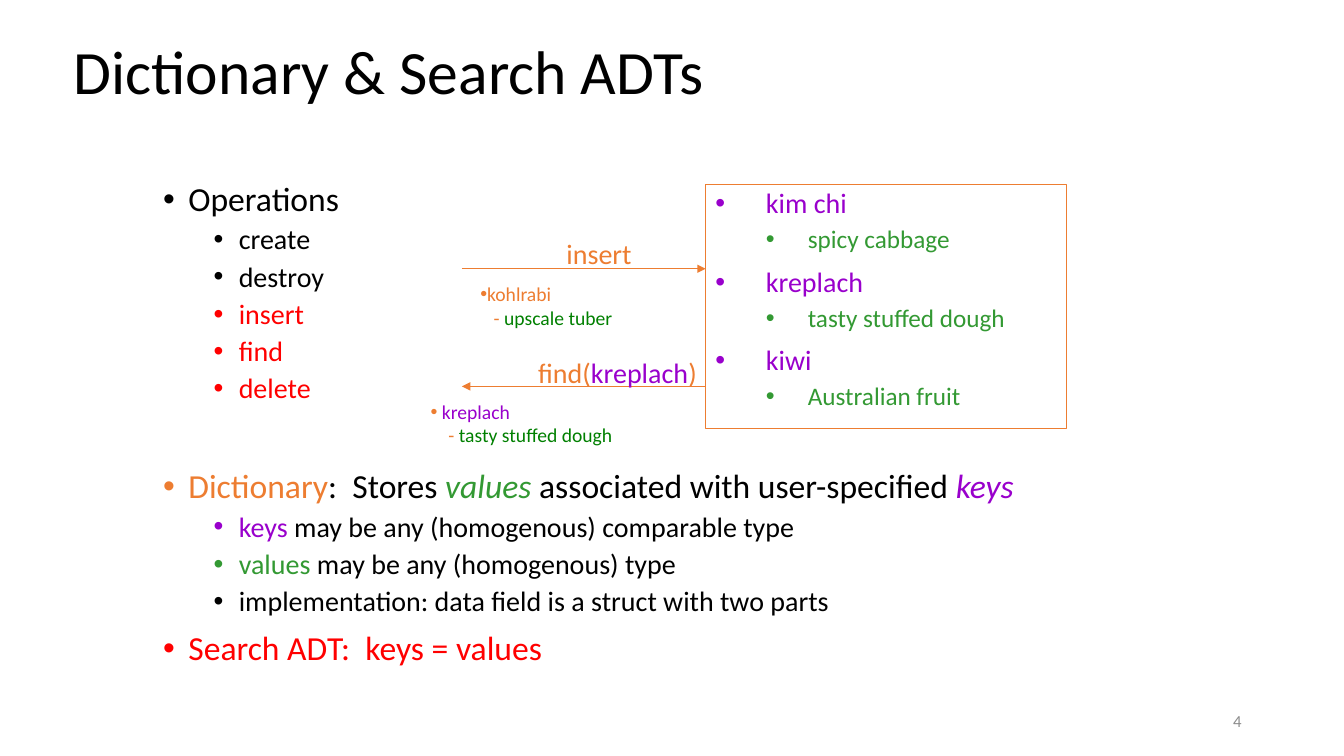
from collections import namedtuple
from dataclasses import dataclass

from lxml.etree import SubElement
from pptx import Presentation
from pptx.dml.color import RGBColor
from pptx.enum.shapes import MSO_CONNECTOR, MSO_SHAPE
from pptx.enum.text import MSO_ANCHOR, PP_ALIGN
from pptx.oxml.ns import qn
from pptx.util import Pt


@dataclass(frozen=True)
class Theme:
    """Colours, font and type sizes of the slide."""
    font: str = "Calibri"
    ink: str = "000000"
    muted: str = "8C8C8C"
    accent: str = "ED7D31"
    key: str = "9900CC"
    value: str = "339933"
    stored: str = "008000"
    alert: str = "FF0000"
    title: int = 44
    heading: int = 24
    item: int = 20
    detail: int = 18
    reply: int = 14
    number: int = 12


THEME = Theme()
Box = namedtuple("Box", "left top width height")
Run = namedtuple("Run", "text color italic", defaults=(THEME.ink, False))
Style = namedtuple("Style", "size margin hang before spacing bullet align",
                   defaults=(0, 0, 0, 1, False, PP_ALIGN.LEFT))

HEADING = Style(THEME.heading, 18, 18, 10, 0.9, True)
SECTION = HEADING._replace(before=46.4)
ITEM = Style(THEME.item, 54, 18, 5, 0.9, True)
KEY = Style(THEME.item, 36, 36, 10, 0.9, True)
VALUE = Style(THEME.detail, 66, 30, 5, 0.9, True)
REPLY = Style(THEME.reply, bullet=True)


def write(frame, paragraphs, anchor=MSO_ANCHOR.TOP, wrap=True):
    """Fill a text frame with pairs of style and runs."""
    frame.word_wrap = wrap
    frame.vertical_anchor = anchor
    for index, (style, runs) in enumerate(paragraphs):
        paragraph = frame.add_paragraph() if index else frame.paragraphs[0]
        paragraph.alignment = style.align
        paragraph.line_spacing = style.spacing
        paragraph.space_before = Pt(style.before)
        properties = paragraph._p.get_or_add_pPr()
        properties.set("marL", str(Pt(style.margin)))
        properties.set("indent", str(-Pt(style.hang)))
        if style.bullet:
            SubElement(properties, qn("a:buFont")).set("typeface", "Arial")
            SubElement(properties, qn("a:buChar")).set("char", "•")
        for text, color, italic in runs:
            run = paragraph.add_run()
            run.text = text
            run.font.name = THEME.font
            run.font.size = Pt(style.size)
            run.font.italic = italic
            run.font.color.rgb = RGBColor.from_string(color)


def add_text(slide, box, paragraphs, **layout):
    """Place a text box."""
    label = slide.shapes.add_textbox(*map(Pt, box))
    write(label.text_frame, paragraphs, **layout)


def add_title(slide, box):
    """Place the slide title."""
    style = Style(THEME.title, spacing=0.9)
    add_text(slide, box, [(style, [Run("Dictionary & Search ADTs")])],
             anchor=MSO_ANCHOR.MIDDLE)


def add_outline(slide, box):
    """Place the outline of operations and definitions."""
    operations = [(name, THEME.ink) for name in ("create", "destroy")]
    operations += [(name, THEME.alert) for name in ("insert", "find", "delete")]
    add_text(slide, box, [
        (HEADING, [Run("Operations")]),
        *((ITEM, [Run(*operation)]) for operation in operations),
        (SECTION, [Run("Dictionary", THEME.accent), Run(":  Stores "),
                   Run("values", THEME.value, True),
                   Run(" associated with user-specified "),
                   Run("keys", THEME.key, True)]),
        (ITEM, [Run("keys", THEME.key),
                Run(" may be any (homogenous) comparable type")]),
        (ITEM, [Run("values", THEME.value),
                Run(" may be any (homogenous) type")]),
        (ITEM, [Run("implementation: data field is a struct with two parts")]),
        (HEADING, [Run("Search ADT:  keys = values", THEME.alert)]),
    ])


def add_store(slide, box):
    """Place the framed dictionary with its keys and values."""
    store = slide.shapes.add_shape(MSO_SHAPE.RECTANGLE, *map(Pt, box))
    store.shadow.inherit = False
    store.fill.background()
    store.line.color.rgb = RGBColor.from_string(THEME.accent)
    store.line.width = Pt(1)
    entries = {"kim chi": "spicy cabbage", "kreplach": "tasty stuffed dough",
               "kiwi": "Australian fruit"}
    paragraphs = []
    for key, value in entries.items():
        paragraphs += [(KEY, [Run(key, THEME.key)]),
                       (VALUE, [Run(value, THEME.value)])]
    write(store.text_frame, paragraphs)


def add_arrow(slide, start, end, level):
    """Draw a level arrow from start to end."""
    arrow = slide.shapes.add_connector(
        MSO_CONNECTOR.STRAIGHT, Pt(start), Pt(level), Pt(end), Pt(level))
    arrow.line.color.rgb = RGBColor.from_string(THEME.accent)
    arrow.line.width = Pt(0.75)
    SubElement(arrow.line._get_or_add_ln(), qn("a:tailEnd")).set("type", "triangle")
    SubElement(arrow._element.spPr, qn("a:effectLst"))


def add_insert(slide, box):
    """Place the insert call, its arrow and the entry sent."""
    level = box.top + 26.4
    add_arrow(slide, box.left, box.left + box.width, level)
    add_text(slide, Box(box.left + 67.5, box.top, 62, 31.5),
             [(Style(THEME.item), [Run("insert", THEME.accent)])], wrap=False)
    add_text(slide, Box(box.left + 6, level + 6, 168, 41), [
        (REPLY, [Run("kohlrabi", THEME.accent)]),
        (Style(THEME.reply, 9.5), [Run("- ", THEME.accent),
                                   Run("upscale tuber", THEME.stored)])])


def add_find(slide, box):
    """Place the find call, its arrow and the entry returned."""
    level = box.top + 25.5
    add_arrow(slide, box.left + box.width, box.left, level)
    add_text(slide, Box(box.left + 47.3, box.top, 129, 31), [
        (Style(THEME.item), [Run("find(", THEME.accent),
                             Run("kreplach", THEME.key),
                             Run(")", THEME.accent)])], wrap=False)
    add_text(slide, Box(box.left - 29.5, level + 6, 145.5, 58), [
        (REPLY, [Run(" ", THEME.accent), Run("kreplach", THEME.key)]),
        (Style(THEME.reply, 12.7), [Run("- ", THEME.accent),
                                    Run("tasty stuffed dough", THEME.stored)])],
             wrap=False)


def add_number(slide, box):
    """Place the slide number."""
    style = Style(THEME.number, align=PP_ALIGN.RIGHT)
    add_text(slide, box, [(style, [Run("4", THEME.muted)])],
             anchor=MSO_ANCHOR.MIDDLE)


def main():
    """Build and save the slide."""
    deck = Presentation()
    deck.slide_width, deck.slide_height = Pt(960), Pt(540)
    slide = deck.slides.add_slide(deck.slide_layouts[6])
    add_number(slide, Box(678, 500.5, 216, 28.75))
    add_title(slide, Box(45.5, 8.5, 612, 90))
    add_outline(slide, Box(109.5, 126.7, 700, 413.3))
    add_store(slide, Box(504, 132, 258, 174))
    add_insert(slide, Box(330, 165.6, 174, 80))
    add_find(slide, Box(330, 250.5, 174, 80))
    deck.save("out.pptx")


main()
